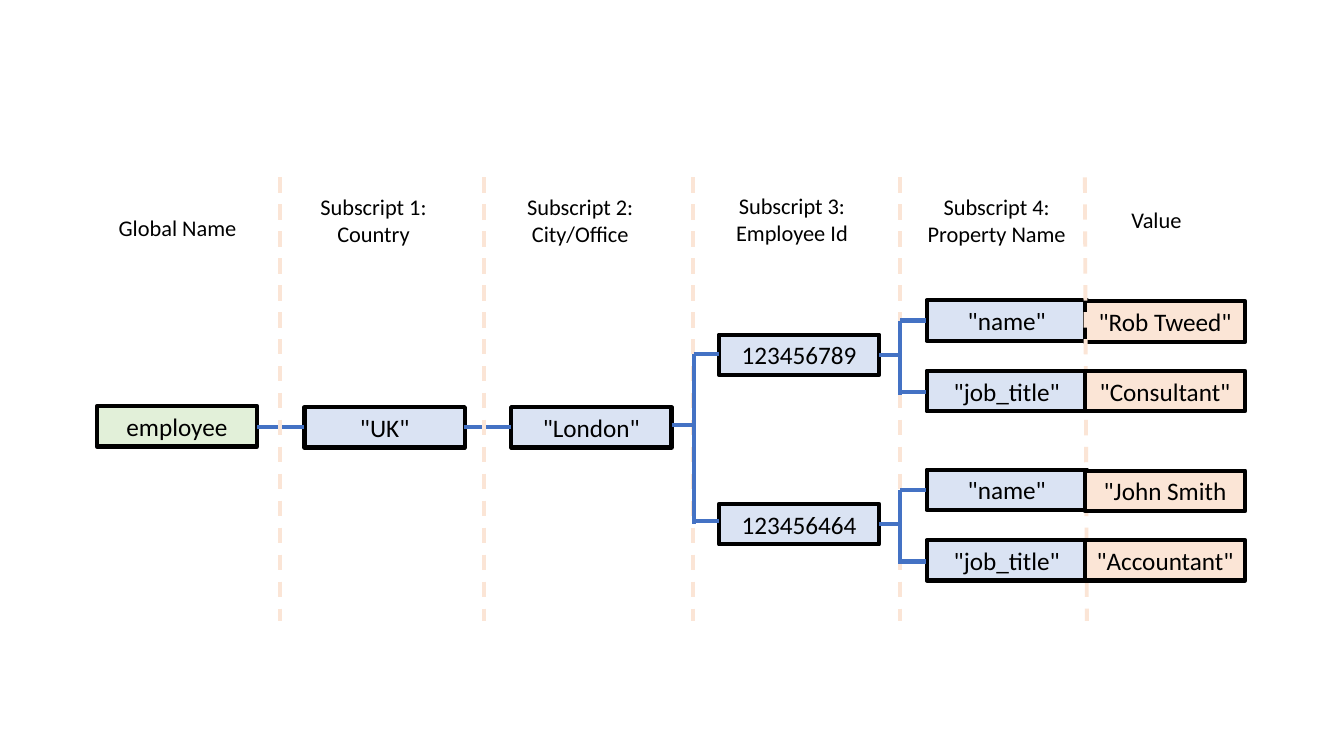
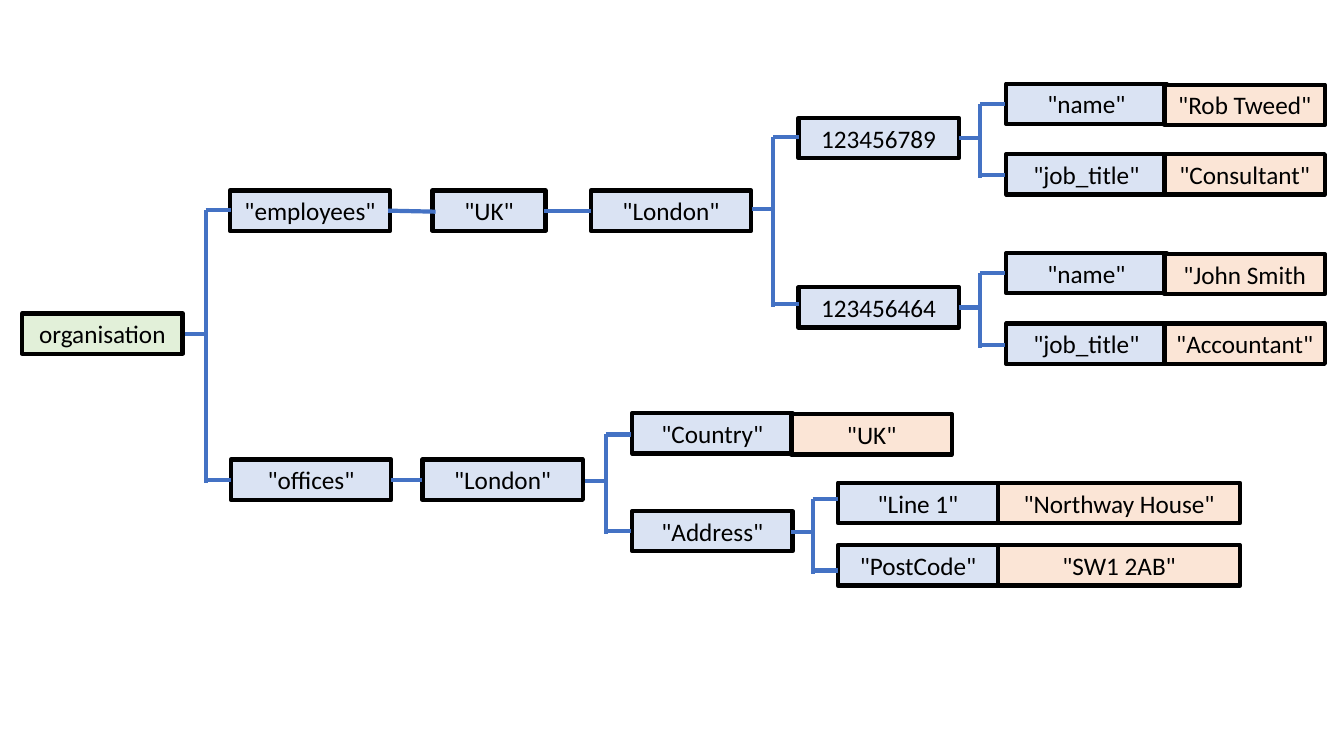
"""Two tree diagrams of hierarchical records."""
from dataclasses import dataclass

from lxml.etree import SubElement
from pptx import Presentation
from pptx.dml.color import RGBColor
from pptx.enum.dml import MSO_LINE_DASH_STYLE as Dash
from pptx.enum.shapes import MSO_CONNECTOR_TYPE as Connector
from pptx.enum.shapes import MSO_SHAPE as Preset
from pptx.enum.text import MSO_ANCHOR as Anchor
from pptx.enum.text import MSO_AUTO_SIZE as AutoSize
from pptx.enum.text import PP_ALIGN as Align
from pptx.oxml.ns import qn
from pptx.slide import Slide
from pptx.text.text import TextFrame
from pptx.util import Inches, Pt

FONT = "Calibri"
BLACK, BLUE = "000000", "4472C4"
ROOT, NODE, VALUE = "E2F0D9", "DAE3F3", "FBE5D6"
BOX_WIDTH, BOX_HEIGHT = 1.59, 0.4
STEM_GAP, BRANCH_LENGTH, STEM_OVERHANG = 0.21, 0.25, 0.03
RECORD_STEP = 1.68


@dataclass
class Box:
    """A framed node of a tree."""
    text: str
    left: float
    top: float
    fill: str = NODE
    width: float = BOX_WIDTH


@dataclass
class Fork:
    """A bracket from one node at (left, middle) to two children."""
    left: float
    middle: float
    upper: float
    lower: float


@dataclass
class Line:
    """A straight line between two points."""
    start_x: float
    start_y: float
    end_x: float
    end_y: float


@dataclass
class Heading:
    """A column heading."""
    text: str
    left: float
    top: float
    width: float
    height: float = 0.64


@dataclass
class Employee:
    """The values held for one employee."""
    number: str
    name: str
    job_title: str


EMPLOYEES = [
    Employee("123456789", '"Rob Tweed"', '"Consultant"'),
    Employee("123456464", '"John Smith', '"Accountant"'),
]


def colour(value: str) -> RGBColor:
    """Turn a hex string into a colour."""
    return RGBColor.from_string(value)


def write_text(frame: TextFrame, text: str, *, size: float,
               wrap: bool = True, font_colour: str = BLACK) -> None:
    """Write centred text, one paragraph per line."""
    frame.word_wrap = wrap
    frame.auto_size = AutoSize.SHAPE_TO_FIT_TEXT
    frame.text = text
    for paragraph in frame.paragraphs:
        paragraph.alignment = Align.CENTER
        for run in paragraph.runs:
            run.font.name = FONT
            run.font.size = Pt(size)
            run.font.color.rgb = colour(font_colour)


def draw_boxes(slide: Slide, boxes: list[Box]) -> None:
    """Draw framed boxes in order, back to front."""
    for box in boxes:
        shape = slide.shapes.add_shape(
            Preset.RECTANGLE, Inches(box.left), Inches(box.top),
            Inches(box.width), Inches(BOX_HEIGHT))
        shape.shadow.inherit = False
        shape.fill.solid()
        shape.fill.fore_color.rgb = colour(box.fill)
        shape.line.color.rgb = colour(BLACK)
        shape.line.width = Pt(3)
        shape.text_frame.vertical_anchor = Anchor.MIDDLE
        write_text(shape.text_frame, box.text, size=18)


def draw_lines(slide: Slide, lines: list[Line], line_colour: str = BLUE,
               width: float = 3, dashed: bool = False) -> None:
    """Draw straight lines without shadow."""
    for line in lines:
        connector = slide.shapes.add_connector(
            Connector.STRAIGHT, Inches(line.start_x), Inches(line.start_y),
            Inches(line.end_x), Inches(line.end_y))
        connector.line.color.rgb = colour(line_colour)
        connector.line.width = Pt(width)
        if dashed:
            connector.line.dash_style = Dash.DASH
        SubElement(connector._element.spPr, qn("a:effectLst"))


def draw_forks(slide: Slide, forks: list[Fork]) -> None:
    """Draw each fork as a handle, a stem and two branches."""
    for fork in forks:
        stem = fork.left + STEM_GAP
        tip = stem + BRANCH_LENGTH
        draw_lines(slide, [
            Line(fork.left, fork.middle, stem, fork.middle),
            Line(stem, fork.upper, stem, fork.lower + STEM_OVERHANG),
            Line(stem, fork.upper, tip, fork.upper),
            Line(stem, fork.lower, tip, fork.lower),
        ])


def draw_headings(slide: Slide, headings: list[Heading]) -> None:
    """Write the column headings."""
    for heading in headings:
        text_box = slide.shapes.add_textbox(
            Inches(heading.left), Inches(heading.top),
            Inches(heading.width), Inches(heading.height))
        write_text(text_box.text_frame, heading.text, size=16, wrap=False)


def employee_boxes(left: float, top: float) -> list[Box]:
    """Lay out the employee records below one another."""
    boxes = []
    for index, employee in enumerate(EMPLOYEES):
        row = top + index * RECORD_STEP
        boxes += [
            Box(employee.number, left, row),
            Box('"name"', left + 2.06, row - 0.34),
            Box(employee.name, left + 3.63, row - 0.33, VALUE),
            Box('"job_title"', left + 2.06, row + 0.36),
            Box(employee.job_title, left + 3.63, row + 0.36, VALUE),
        ]
    return boxes


def employee_forks(left: float, top: float) -> list[Fork]:
    """Lay out the forks to and within the employee records."""
    forks = [Fork(left - 0.46, top + 0.9, top + 0.19, top + 1.85)]
    for index in range(len(EMPLOYEES)):
        row = top + index * RECORD_STEP
        forks.append(Fork(left + BOX_WIDTH, row + 0.2, row - 0.14, row + 0.57))
    return forks


def build_employee_slide(slide: Slide) -> None:
    """Draw the employee tree under its column headings."""
    records = employee_boxes(7.13, 3.32)
    draw_boxes(slide, [
        Box("employee", 0.96, 4.03, ROOT),
        Box('"UK"', 3.02, 4.04),
        Box('"London"', 5.07, 4.04),
        *records[:3],
    ])
    draw_lines(slide, [Line(2.55, 4.24, 3.02, 4.24),
                       Line(4.6, 4.24, 5.07, 4.24)])
    dividers = [(2.78, 2.78), (4.8, 4.8), (6.87, 6.87),
                (8.93, 8.93), (10.76, 10.78)]
    draw_lines(slide, [Line(top_x, 1.76, bottom_x, 6.16)
                       for top_x, bottom_x in dividers],
               VALUE, 2.75, dashed=True)
    draw_headings(slide, [
        Heading("Global Name", 1.07, 2.08, 1.38, 0.37),
        Heading("Subscript 1:\nCountry", 3.07, 1.87, 1.27),
        Heading("Subscript 2:\nCity/Office", 5.12, 1.87, 1.27),
        Heading("Subscript 3:\nEmployee Id", 7.19, 1.86, 1.33),
        Heading("Subscript 4:\nProperty Name", 9.09, 1.87, 1.59),
        Heading("Value", 11.12, 2, 0.7, 0.37),
    ])
    draw_boxes(slide, records[3:])
    draw_forks(slide, employee_forks(7.13, 3.32))


def build_organisation_slide(slide: Slide) -> None:
    """Draw the organisation tree with employees and offices."""
    draw_boxes(slide, [
        Box("organisation", 0.22, 3.11, ROOT),
        Box('"employees"', 2.28, 1.89),
        Box('"UK"', 4.29, 1.89, width=1.12),
        Box('"London"', 5.86, 1.89),
        *employee_boxes(7.92, 1.17),
        Box('"offices"', 2.29, 4.56),
        Box('"London"', 4.19, 4.56),
        Box('"Country"', 6.27, 4.1),
        Box('"UK"', 7.85, 4.11, VALUE),
        Box('"Address"', 6.27, 5.07),
        Box('"Northway House"', 9.9, 4.79, VALUE, 2.4),
        Box('"Line 1"', 8.31, 4.79),
        Box('"SW1 2AB"', 9.9, 5.41, VALUE, 2.4),
        Box('"PostCode"', 8.31, 5.41),
    ])
    draw_lines(slide, [Line(3.85, 2.09, 4.32, 2.1),
                       Line(5.4, 2.09, 5.86, 2.09),
                       Line(3.88, 4.76, 4.19, 4.76)])
    draw_forks(slide, [
        *employee_forks(7.92, 1.17),
        Fork(1.83, 3.31, 2.08, 4.76),
        Fork(5.8, 4.77, 4.31, 5.27),
        Fork(7.85, 5.28, 4.95, 5.66),
    ])


def main() -> None:
    """Build and save the presentation."""
    presentation = Presentation()
    presentation.slide_width = Inches(13.33)
    presentation.slide_height = Inches(7.5)
    blank = presentation.slide_layouts.get_by_name("Blank")
    for build in (build_employee_slide, build_organisation_slide):
        build(presentation.slides.add_slide(blank))
    presentation.save("out.pptx")


main()
